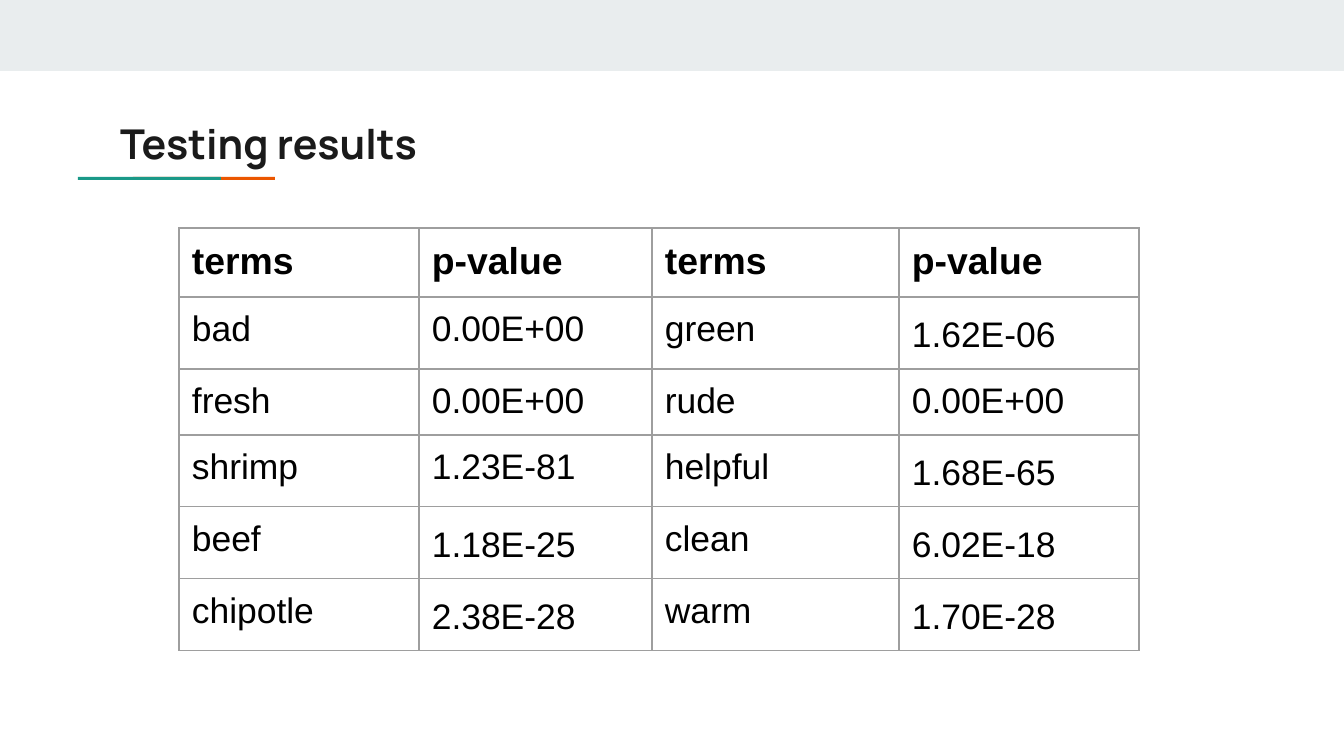
from lxml.etree import SubElement
from pptx import Presentation
from pptx.dml.color import RGBColor
from pptx.enum.shapes import MSO_SHAPE
from pptx.enum.text import MSO_ANCHOR, PP_ALIGN
from pptx.oxml.ns import qn
from pptx.util import Pt

TITLE = "Testing results"
HEADER = ("terms", "p-value", "terms", "p-value")
RESULTS = [
    ("bad", "0.00E+00", "green", "1.62E-06"),
    ("fresh", "0.00E+00", "rude", "0.00E+00"),
    ("shrimp", "1.23E-81", "helpful", "1.68E-65"),
    ("beef", "1.18E-25", "clean", "6.02E-18"),
    ("chipotle", "2.38E-28", "warm", "1.70E-28"),
]
LOOSE_CELLS = {(1, 3), (3, 3), (4, 1), (4, 3), (5, 1), (5, 3)}  # row, column
LOOSE_SPACING = 1.15

# left, top, width, height, colour; the teal rule overlaps the orange one
BARS = [
    (0, 0, 1344, 71, "E9EDEE"),
    (133, 177, 142, 3, "EB5600"),
    (78, 177, 143, 3, "1A9988"),
]
TITLE_BOX = (107, 105, 1130, 79)
TABLE_LEFT, TABLE_TOP = 179, 228
COLUMN_WIDTHS = (240, 233, 247, 240)
ROW_HEIGHTS = (69, 72, 66, 72, 72, 72)
INSET = 13
BORDER = "9E9E9E"


def px(length):
    return round(length * 914400 / 134.4)


def rgb(color):
    return RGBColor.from_string(color)


def style(paragraph, font_name, size, color, bold):
    for run in paragraph.runs:
        font = run.font
        font.name, font.size, font.bold = font_name, Pt(size), bold
        font.color.rgb = rgb(color)


def add_borders(cell):
    properties = cell._tc.get_or_add_tcPr()
    for position, side in enumerate(("lnL", "lnR", "lnT", "lnB")):
        line = properties.makeelement(qn(f"a:{side}"), {"w": str(Pt(0.75))})
        fill = SubElement(line, qn("a:solidFill"))
        SubElement(fill, qn("a:srgbClr"), val=BORDER)
        properties.insert(position, line)


def add_bars(slide):
    for *box, color in BARS:
        bar = slide.shapes.add_shape(MSO_SHAPE.RECTANGLE, *map(px, box))
        bar.shadow.inherit = False
        bar.fill.solid()
        bar.fill.fore_color.rgb = rgb(color)
        bar.line.fill.background()


def add_title(slide):
    title = slide.shapes.title
    title.left, title.top, title.width, title.height = map(px, TITLE_BOX)
    frame = title.text_frame
    frame.text = TITLE
    frame.vertical_anchor = MSO_ANCHOR.TOP
    frame.margin_left = frame.margin_right = px(INSET)
    frame.margin_top = frame.margin_bottom = px(INSET)
    heading = frame.paragraphs[0]
    heading.alignment = PP_ALIGN.LEFT
    style(heading, "Manrope", 22, "1A1A1A", True)


def add_results(slide):
    rows = [HEADER, *RESULTS]
    table = slide.shapes.add_table(
        len(rows), len(HEADER), px(TABLE_LEFT), px(TABLE_TOP),
        px(sum(COLUMN_WIDTHS)), px(sum(ROW_HEIGHTS))).table
    table.first_row = table.horz_banding = False
    for column, width in zip(table.columns, COLUMN_WIDTHS):
        column.width = px(width)
    for row, height in zip(table.rows, ROW_HEIGHTS):
        row.height = px(height)
    for r, row in enumerate(rows):
        for c, value in enumerate(row):
            cell = table.cell(r, c)
            cell.text = value
            cell.margin_left = cell.margin_right = px(INSET)
            cell.margin_top = cell.margin_bottom = px(INSET)
            cell.fill.background()
            add_borders(cell)
            paragraph = cell.text_frame.paragraphs[0]
            if (r, c) in LOOSE_CELLS:
                paragraph.line_spacing = LOOSE_SPACING
            is_header = r == 0
            style(paragraph, "Arial", 20 if is_header else 19, "000000", is_header)


def main():
    presentation = Presentation()
    presentation.slide_width, presentation.slide_height = px(1344), px(756)
    slide = presentation.slides.add_slide(presentation.slide_layouts[5])
    add_bars(slide)
    add_title(slide)
    add_results(slide)
    presentation.save("out.pptx")


if __name__ == "__main__":
    main()
